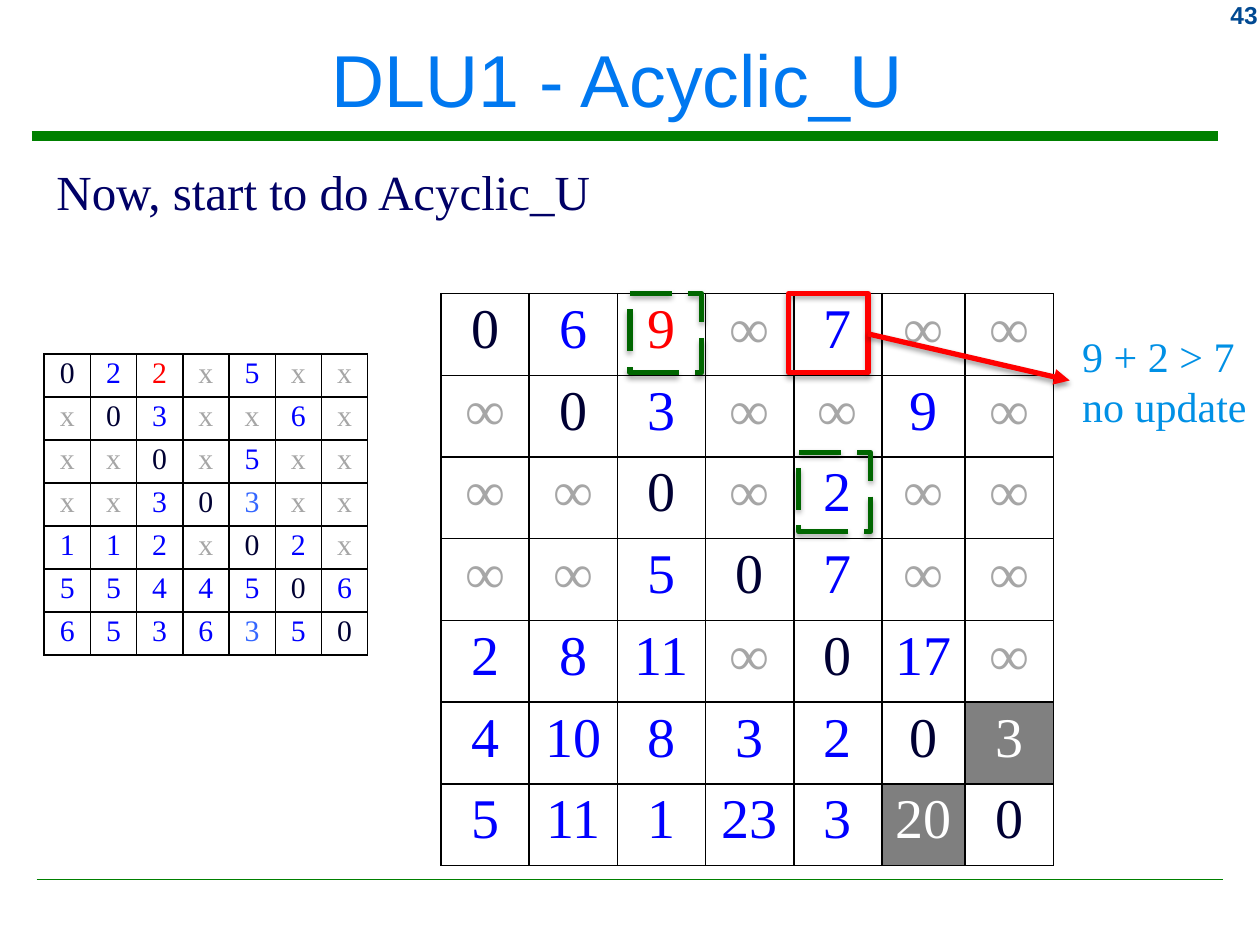
from lxml import etree
from pptx import Presentation
from pptx.dml.color import RGBColor
from pptx.enum.dml import MSO_LINE
from pptx.enum.shapes import MSO_CONNECTOR, MSO_SHAPE
from pptx.enum.text import MSO_ANCHOR, PP_ALIGN
from pptx.oxml import parse_xml
from pptx.oxml.ns import nsdecls, qn
from pptx.util import Inches, Pt

SERIF, SANS = "Times New Roman", "Arial"
WHITE, BLACK, DARK, BLUE, PALE_BLUE = "FFFFFF", "000000", "000033", "0000FF", "3366FF"
RED, GRAY, GREEN, DARK_GREEN = "FF0000", "A6A6A6", "008000", "006600"

WEIGHTS = ["0 2 2 x 5 x x", "x 0 3 x x 6 x", "x x 0 x 5 x x", "x x 3 0 3 x x",
           "1 1 2 x 0 2 x", "5 5 4 4 5 0 6", "6 5 3 6 3 5 0"]
DISTANCES = ["0 6 9 ∞ 7 ∞ ∞", "∞ 0 3 ∞ ∞ 9 ∞", "∞ ∞ 0 ∞ 2 ∞ ∞", "∞ ∞ 5 0 7 ∞ ∞",
             "2 8 11 ∞ 0 17 ∞", "4 10 8 3 2 0 3", "5 11 1 23 3 20 0"]


def color(value):
    return RGBColor.from_string(value)


def add_text(page, bounds, lines, size, font, ink, align=PP_ALIGN.LEFT,
             bold=False, wrap=True, anchor=MSO_ANCHOR.TOP):
    box = page.shapes.add_textbox(*map(Inches, bounds))
    frame = box.text_frame
    frame.word_wrap = wrap
    frame.vertical_anchor = anchor
    frame.text = "\n".join(lines)
    for para in frame.paragraphs:
        para.alignment = align
        para.font.size, para.font.name, para.font.bold = Pt(size), font, bold
        para.font.color.rgb = color(ink)


def set_shadow(shape, opacity=None):
    """Give the shape a soft shadow below it, or none without an opacity."""
    properties = shape._element.spPr
    effects = etree.SubElement(properties, qn("a:effectLst"))
    if opacity:
        effects.append(parse_xml(
            f'<a:outerShdw {nsdecls("a")} blurRad="40000" dist="23000" dir="5400000" '
            f'rotWithShape="0"><a:srgbClr val="{BLACK}"><a:alpha val="{opacity * 1000}"/>'
            '</a:srgbClr></a:outerShdw>'))


def add_line(page, start, end, ink, width, arrow=False):
    line = page.shapes.add_connector(MSO_CONNECTOR.STRAIGHT, *map(Inches, start + end))
    line.line.color.rgb = color(ink)
    line.line.width = Pt(width)
    if arrow:
        etree.SubElement(line.line._get_or_add_ln(), qn("a:tailEnd"), type="triangle")
    set_shadow(line, 38 if arrow else None)


def add_frame(page, bounds, ink, dash=None):
    frame = page.shapes.add_shape(MSO_SHAPE.RECTANGLE, *map(Inches, bounds))
    frame.fill.background()
    frame.line.color.rgb = color(ink)
    frame.line.width = Pt(3)
    if dash:
        frame.line.dash_style = dash
    set_shadow(frame, 35)


def add_borders(cell):
    properties = cell._tc.get_or_add_tcPr()
    for index, side in enumerate(("lnL", "lnR", "lnT", "lnB")):
        properties.insert(index, parse_xml(
            f'<a:{side} {nsdecls("a")} w="12700"><a:solidFill><a:srgbClr val="{BLACK}"/>'
            f'</a:solidFill></a:{side}>'))


def cell_ink(value):
    return {"0": DARK, "x": GRAY, "∞": GRAY}.get(value, BLUE)


def add_matrix(page, bounds, rows, widths, size, insets, inks, fills):
    """Inks and fills hold the exceptions, by (row, column)."""
    values = [row.split() for row in rows]
    graphic = page.shapes.add_table(len(values), len(widths), *map(Inches, bounds))
    table = graphic.table
    table.first_row = table.horz_banding = False
    for column, width in zip(table.columns, widths):
        column.width = Inches(width)
    for r, row in enumerate(values):
        table.rows[r].height = Inches(bounds[3] / len(values))
        for c, value in enumerate(row):
            cell = table.cell(r, c)
            cell.margin_left = cell.margin_right = Inches(insets[0])
            cell.margin_top = cell.margin_bottom = Inches(insets[1])
            cell.fill.solid()
            cell.fill.fore_color.rgb = color(fills.get((r, c), WHITE))
            add_borders(cell)
            cell.text = value
            para = cell.text_frame.paragraphs[0]
            para.alignment = PP_ALIGN.CENTER
            para.font.size, para.font.name = Pt(size), SERIF
            para.font.color.rgb = color(inks.get((r, c), cell_ink(value)))


def add_header(page):
    add_line(page, (0.25, 1.08), (9.67, 1.08), GREEN, 5.25)
    add_line(page, (0.29, 6.98), (9.71, 6.98), GREEN, 1)
    add_text(page, (9.17, -0.05, 0.91, 0.33), ["43"], 14, SANS, "004992",
             PP_ALIGN.RIGHT, bold=True)
    add_text(page, (0.08, 0.09, 9.8, 1.06), ["DLU1 - Acyclic_U "], 42, SANS, "0078F0",
             PP_ALIGN.CENTER, anchor=MSO_ANCHOR.MIDDLE)
    add_text(page, (0.35, 1.23, 4.5, 0.57), ["Now, start to do Acyclic_U"], 28, SERIF,
             "000066", wrap=False)


def add_update_step(page):
    # Checked entry, with its outcome
    add_frame(page, (6.26, 2.33, 0.63, 0.63), RED)
    add_line(page, (6.89, 2.65), (8.49, 3.02), RED, 3, arrow=True)
    add_text(page, (8.49, 2.57, 1.52, 0.91), ["9 + 2 > 7", "no update"], 24, SERIF,
             "0090E5", wrap=False)
    # The two entries that are summed
    for left, top in ((5, 2.33), (6.34, 3.59)):
        add_frame(page, (left, top, 0.57, 0.63), DARK_GREEN, MSO_LINE.LONG_DASH)


def main():
    deck = Presentation()
    deck.slide_width, deck.slide_height = Inches(10), Inches(7.5)
    page = deck.slides.add_slide(deck.slide_layouts[6])
    add_header(page)
    # Weight matrix
    add_matrix(page, (0.35, 2.81, 2.57, 2.39), WEIGHTS, [2.57 / 7] * 7, 17, (0.05, 0.02),
               {(0, 2): RED, (3, 4): PALE_BLUE, (6, 4): PALE_BLUE}, {})
    # Distance matrix
    add_matrix(page, (3.5, 2.33, 4.85, 4.54), DISTANCES, [0.7] * 5 + [0.66, 0.7], 32,
               (0.09, 0.04), {(0, 2): RED, (5, 6): WHITE, (6, 5): WHITE},
               {(5, 6): "808080", (6, 5): "7F7F7F"})
    add_update_step(page)
    deck.save("out.pptx")


if __name__ == "__main__":
    main()
